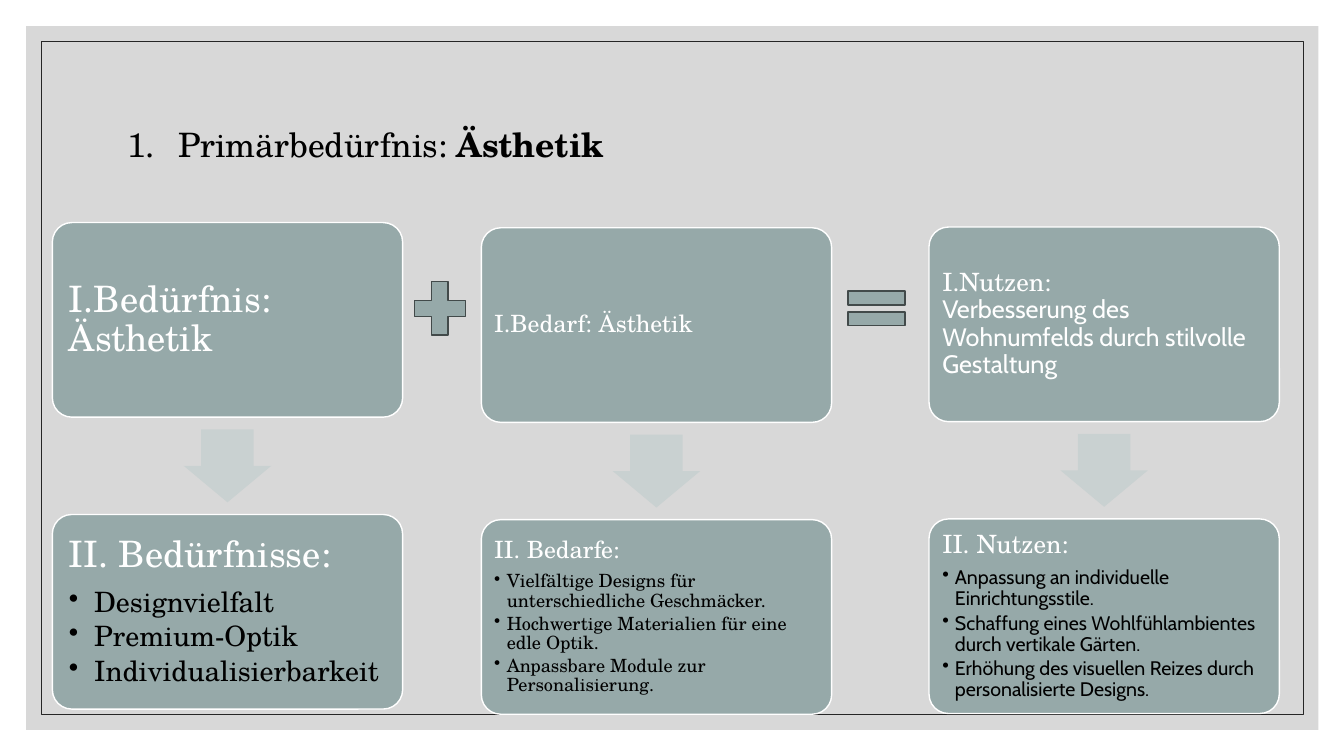
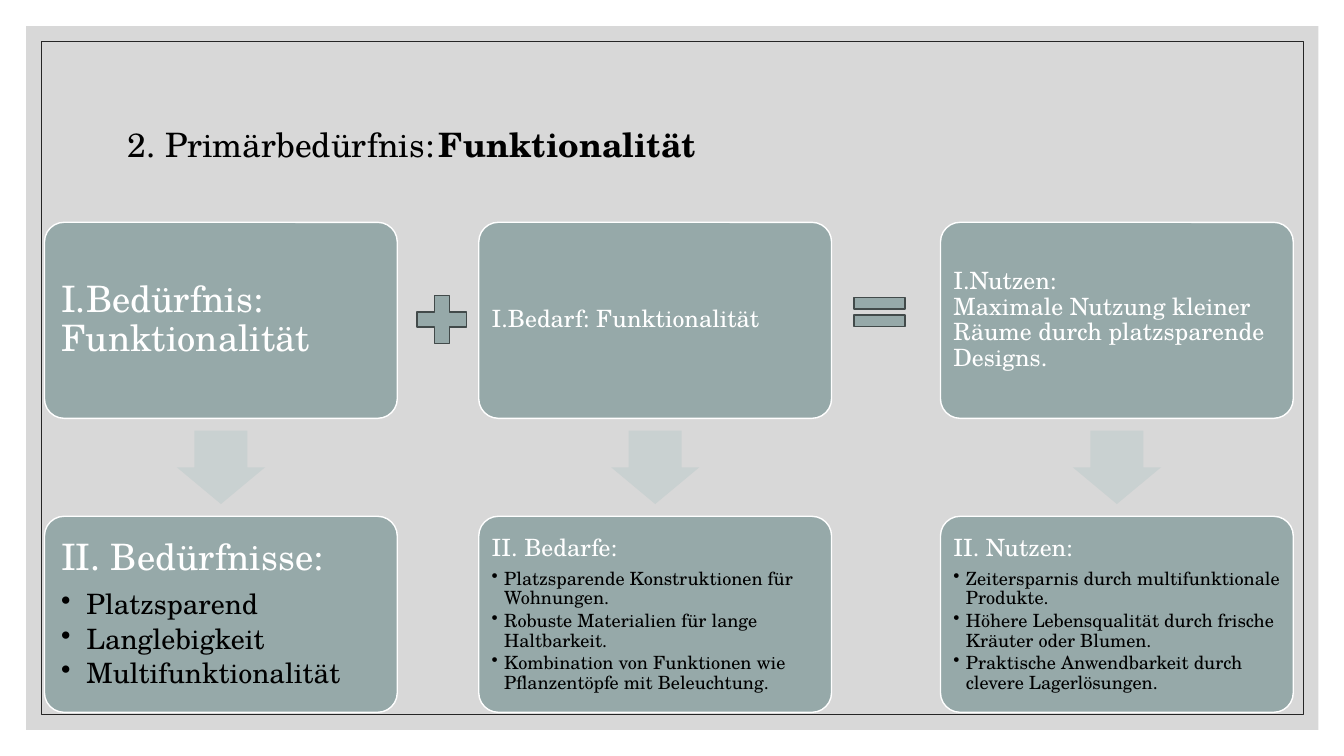
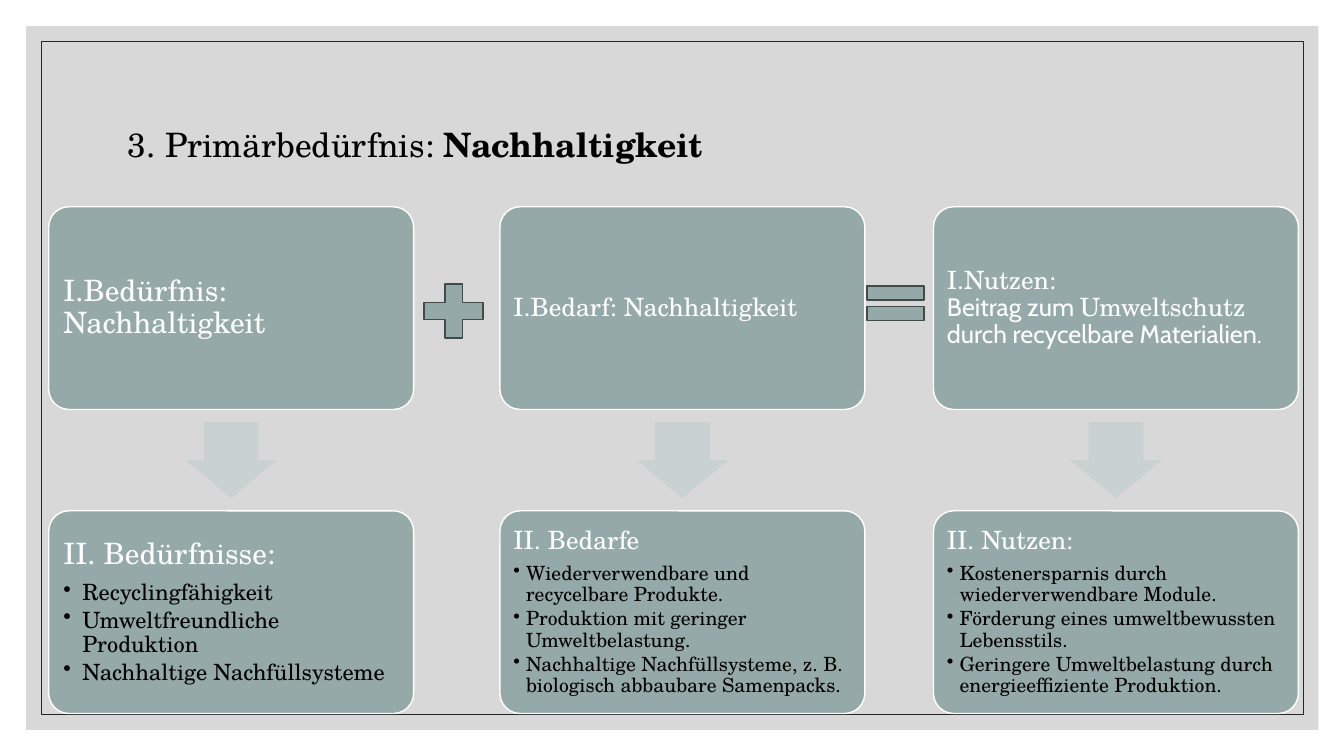
from lxml import etree
from pptx import Presentation
from pptx.dml.color import RGBColor
from pptx.enum.shapes import MSO_SHAPE, PP_PLACEHOLDER
from pptx.enum.text import MSO_ANCHOR, MSO_AUTO_SIZE, PP_ALIGN
from pptx.oxml.ns import qn
from pptx.util import Pt

RECT, CARD = MSO_SHAPE.RECTANGLE, MSO_SHAPE.ROUNDED_RECTANGLE
DOWN, PLUS, EQUAL = MSO_SHAPE.DOWN_ARROW, MSO_SHAPE.MATH_PLUS, MSO_SHAPE.MATH_EQUAL
MIDDLE, LEFT = MSO_ANCHOR.MIDDLE, PP_ALIGN.LEFT
NO_FIT, TITLE = MSO_AUTO_SIZE.NONE, PP_PLACEHOLDER.TITLE

SERIF, SANS = "TeX Gyre Schola", "Cabin"
BLACK, WHITE = "000000", "FFFFFF"
SAGE, MIST, SLATE = "96A9A9", "C9D1D1", "424A4A"
GREY, INK = "BFBFBF", "262626"

# heading size: (list size, list indent)
LISTS = {26: (20, 18), 21: (16, 13.5), 18: (14, 9), 17: (13, 9)}

# Each column: left, top, heading size, first text, second heading, list, list font.
# Parts between asterisks are set in the sans font.
SLIDES = [
    {
        "lead": "Primärbedürfnis:", "name": "Ästhetik", "gap": 24, "auto": True,
        "high": 139,
        "plus": (289.4, 194.4, 49.7, 51.8), "equal": (598.3, 199.4, 55.4, 41.8),
        "cols": [
            (37.4, 159, 26, "I.Bedürfnis: Ästhetik", "II. Bedürfnisse:",
             ["Designvielfalt", "Premium-Optik", "Individualisierbarkeit"], SERIF),
            (343.8, 162.7, 17, "I.Bedarf: Ästhetik", "II. Bedarfe:",
             ["Vielfältige Designs für unterschiedliche Geschmäcker.",
              "Hochwertige Materialien für eine edle Optik.",
              "Anpassbare Module zur Personalisierung."], SERIF),
            (663.6, 162.2, 18,
             "I.Nutzen:\n*Verbesserung des Wohnumfelds durch stilvolle Gestaltung*",
             "II. Nutzen:",
             ["Anpassung an individuelle Einrichtungsstile.",
              "Schaffung eines Wohlfühlambientes durch vertikale Gärten.",
              "Erhöhung des visuellen Reizes durch personalisierte Designs."], SANS),
        ],
    },
    {
        "lead": "2. Primärbedürfnis:", "name": "Funktionalität", "gap": 11, "auto": False,
        "high": 140,
        "plus": (291.6, 205.2, 48.2, 46.1), "equal": (603.4, 205.2, 49.7, 35.3),
        "cols": [
            (31.8, 158.8, 26, "I.Bedürfnis: Funktionalität", "II. Bedürfnisse:",
             ["Platzsparend", "Langlebigkeit", "Multifunktionalität"], SERIF),
            (342, 158.8, 17, "I.Bedarf: Funktionalität", "II. Bedarfe:",
             ["Platzsparende Konstruktionen für Wohnungen.",
              "Robuste Materialien für lange Haltbarkeit.",
              "Kombination von Funktionen wie Pflanzentöpfe mit Beleuchtung."], SERIF),
            (671.8, 158.8, 17,
             "I.Nutzen:\nMaximale Nutzung kleiner Räume durch platzsparende Designs.",
             "II. Nutzen:",
             ["Zeitersparnis durch multifunktionale Produkte.",
              "Höhere Lebensqualität durch frische Kräuter oder Blumen.",
              "Praktische Anwendbarkeit durch clevere Lagerlösungen."], SERIF),
        ],
    },
    {
        "lead": "3. Primärbedürfnis:", "name": "Nachhaltigkeit", "gap": 24, "auto": False,
        "high": 144.8,
        "plus": (295.2, 195.8, 57.6, 52.6), "equal": (612, 195.8, 55.4, 41.8),
        "cols": [
            (34.8, 147.7, 21, "I.Bedürfnis: Nachhaltigkeit", "II. Bedürfnisse:",
             ["Recyclingfähigkeit", "Umweltfreundliche Produktion",
              "Nachhaltige Nachfüllsysteme"], SERIF),
            (357.1, 147.7, 18, "I.Bedarf: Nachhaltigkeit", "II. Bedarfe",
             ["Wiederverwendbare und recycelbare Produkte.",
              "Produktion mit geringer Umweltbelastung.",
              "Nachhaltige Nachfüllsysteme, z. B. biologisch abbaubare Samenpacks."],
             SERIF),
            (666.8, 147.7, 18,
             "I.Nutzen:\n*Beitrag zum *Umweltschutz *durch recycelbare Materialien.*",
             "II. Nutzen:",
             ["Kostenersparnis durch wiederverwendbare Module.",
              "Förderung eines umweltbewussten Lebensstils.",
              "Geringere Umweltbelastung durch energieeffiziente Produktion."], SERIF),
        ],
    },
]


def paint(form, color):
    """Give a fill or a font a solid colour from a hex string."""
    if hasattr(form, "solid"):
        form.solid()
        form = form.fore_color
    else:
        form = form.color
    form.rgb = RGBColor.from_string(color)


def add_form(slide, kind, box, fill=None, line=None, width=1):
    form = slide.shapes.add_shape(kind, *map(Pt, box))
    form.shadow.inherit = False
    if fill:
        paint(form.fill, fill)
    else:
        form.fill.background()
    if line:
        paint(form.line.fill, line)
        form.line.width = Pt(width)
    else:
        form.line.fill.background()
    return form


def set_mark(para, tag, indent, **attrs):
    """Hang a bullet or number in front of a paragraph."""
    props = para._p.get_or_add_pPr()
    props.set("marL", str(Pt(indent)))
    props.set("indent", str(-Pt(indent)))
    etree.SubElement(props, qn(tag), **attrs)


def set_para(para, size, color, font=SERIF, after=0):
    para.alignment = LEFT
    para.line_spacing = 0.9
    para.space_before = Pt(0)
    para.space_after = Pt(round(after * size, 2))
    para.font.size = Pt(size)
    para.font.name = font
    paint(para.font, color)


def add_runs(para, text):
    """Write text with line breaks and sans parts between asterisks."""
    for row, line in enumerate(text.split("\n")):
        if row:
            para.add_line_break()
        for i, part in enumerate(line.split("*")):
            if part:
                run = para.add_run()
                run.text = part
                if i % 2:
                    run.font.name = SANS


def add_card(slide, box, size, head, items=(), font=SERIF):
    card = add_form(slide, CARD, box, SAGE, WHITE)
    card.adjustments[0] = 0.1
    frame = card.text_frame
    frame.word_wrap = True
    frame.vertical_anchor = MIDDLE
    inset = Pt(round(0.3 * size, 2))
    frame.margin_left = frame.margin_right = inset
    frame.margin_top = frame.margin_bottom = inset
    para = frame.paragraphs[0]
    set_para(para, size, WHITE, after=0.35)
    add_runs(para, head)
    small, indent = LISTS[size]
    for item in items:
        para = frame.add_paragraph()
        set_mark(para, "a:buChar", indent, char="•")
        set_para(para, small, BLACK, font, 0.15)
        add_runs(para, item)


def add_column(slide, high, left, top, size, first, second, items, font):
    """Stack two cards with an arrow in the gap of half a card."""
    wide = 1.8 * high
    add_card(slide, (left, top, wide, high), size, first)
    arrow_w, arrow_h = 0.45 * high, 0.375 * high
    arrow = add_form(slide, DOWN, (left + (wide - arrow_w) / 2,
                                   top + 1.25 * high - arrow_h / 2,
                                   arrow_w, arrow_h), MIST)
    arrow.adjustments[0] = 0.6
    arrow.adjustments[1] = 0.5
    add_card(slide, (left, top + 1.5 * high, wide, high), size, second, items, font)


def set_title(slide, lead, name, gap, auto):
    frame = slide.shapes.title.text_frame
    frame.auto_size = NO_FIT
    frame.vertical_anchor = MIDDLE
    para = frame.paragraphs[0]
    if auto:
        set_mark(para, "a:buAutoNum", 36, type="arabicPeriod")
    set_para(para, 24, BLACK)
    for text in (lead, " ", name):
        run = para.add_run()
        run.text = text
        if text == " ":
            run.font.size = Pt(gap)
        run.font.bold = text == name


def set_layout(layout, slide):
    """Place the title and move the shared frame behind it on the layout."""
    for holder in list(layout.placeholders):
        if holder.placeholder_format.type == TITLE:
            holder.left, holder.top = Pt(84), Pt(50.4)
            holder.width, holder.height = Pt(792), Pt(108)
        else:
            holder.element.getparent().remove(holder.element)
    panel = add_form(slide, RECT, (18.7, 18.7, 923, 502.6), GREY)
    tone = panel.element.find(".//" + qn("a:srgbClr"))
    etree.SubElement(tone, qn("a:alpha"), val="60000")
    border = add_form(slide, RECT, (29.5, 29.5, 901.4, 481), None, INK, 0.5)
    for spot, form in enumerate((panel, border), 2):
        layout.shapes.element.insert(spot, form.element)


def main():
    deck = Presentation()
    deck.slide_width, deck.slide_height = Pt(960), Pt(540)
    layout = deck.slide_layouts[5]
    for i, data in enumerate(SLIDES):
        slide = deck.slides.add_slide(layout)
        if i == 0:
            set_layout(layout, slide)
        set_title(slide, data["lead"], data["name"], data["gap"], data["auto"])
        for col in data["cols"]:
            add_column(slide, data["high"], *col)
        add_form(slide, PLUS, data["plus"], SAGE, SLATE)
        add_form(slide, EQUAL, data["equal"], SAGE, SLATE)
    deck.save("out.pptx")


if __name__ == "__main__":
    main()
